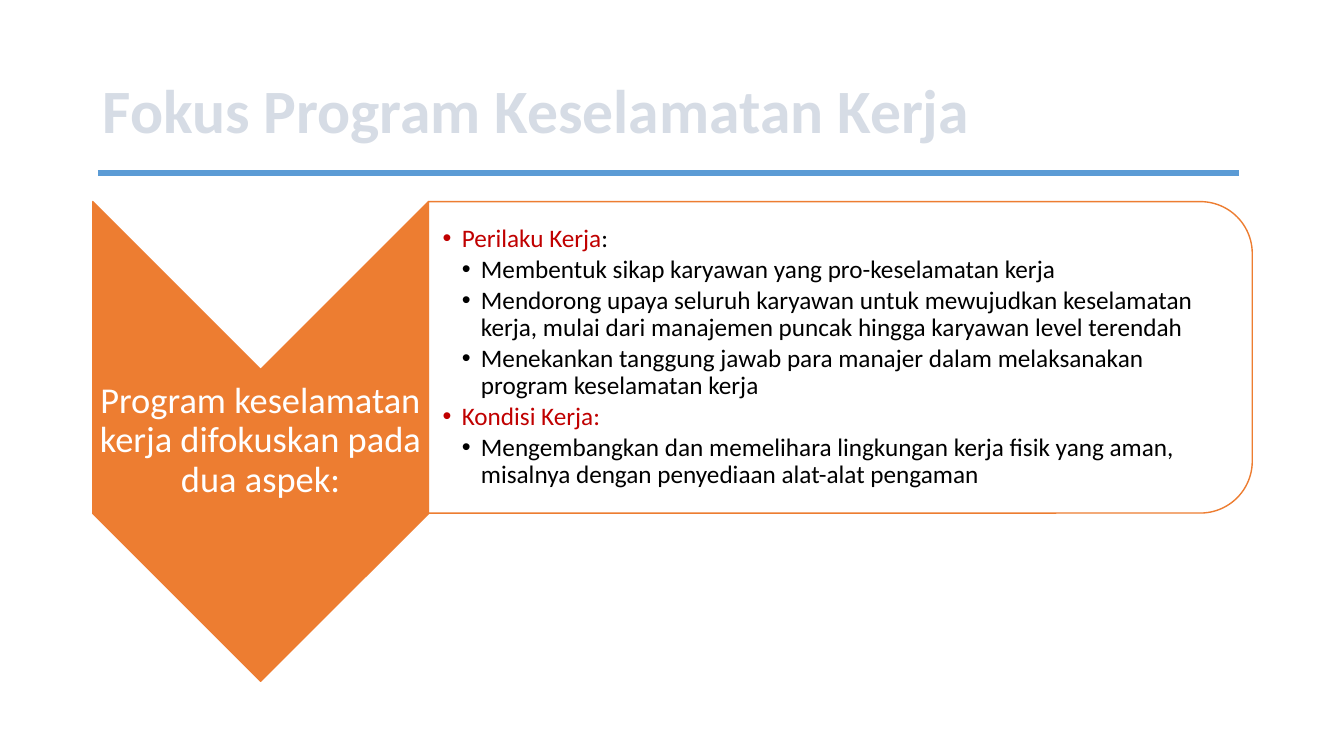
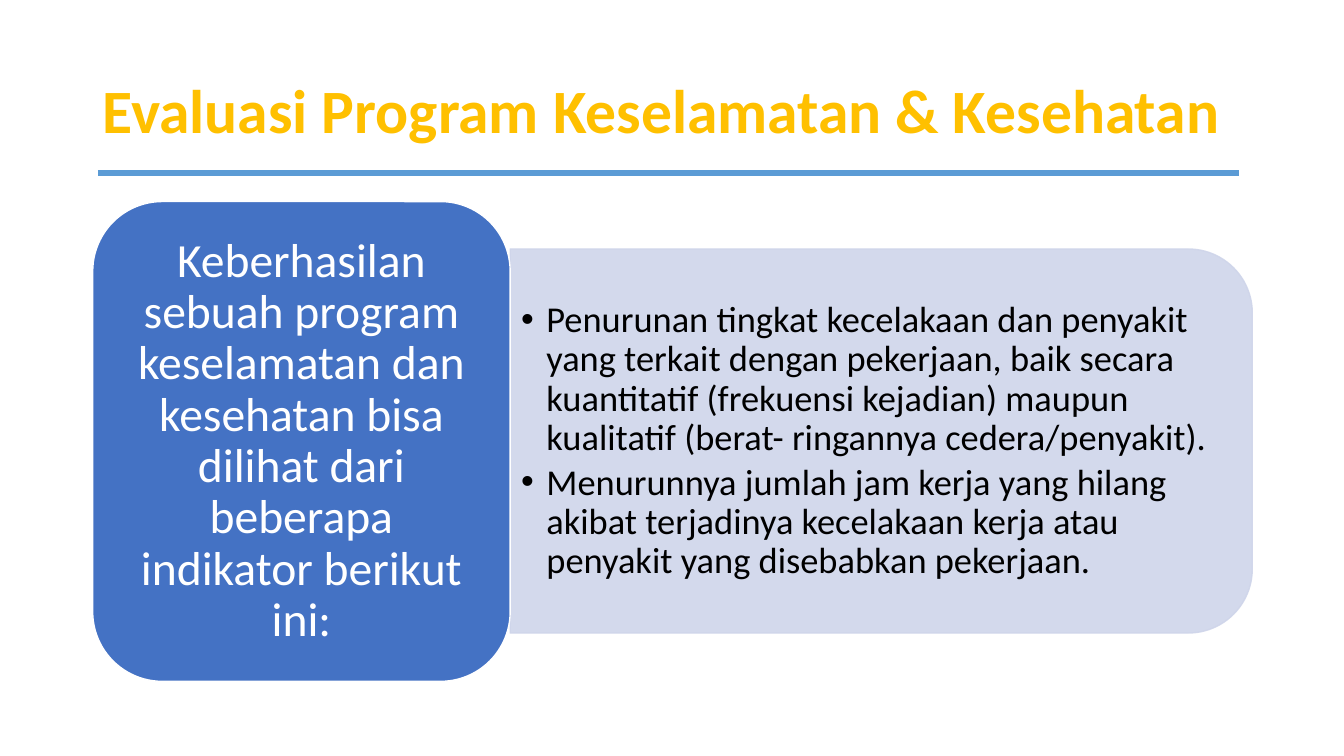
from dataclasses import dataclass

from lxml.etree import SubElement as Sub
from pptx import Presentation as Deck
from pptx.dml.color import RGBColor as Rgb
from pptx.enum.shapes import MSO_CONNECTOR as Conn, MSO_SHAPE as Kind
from pptx.enum.text import MSO_ANCHOR as Anchor, PP_ALIGN as Align
from pptx.oxml.ns import qn
from pptx.util import Inches as In, Pt


@dataclass(frozen=True)
class Theme:
    font: str = "Calibri"
    white: str = "FFFFFF"
    black: str = "000000"
    red: str = "C00000"
    orange: str = "ED7D31"
    blue: str = "4472C4"
    pale: str = "CFD5EA"
    rule: str = "5B9BD5"
    mist: str = "D6DCE5"
    gold: str = "FFC000"
    head: int = 44
    large: int = 34
    mid: int = 26
    small: int = 18


T = Theme()


# Text
def add_run(para, text, size, color, bold=False):
    run = para.add_run()
    run.text = text
    font = run.font
    font.name, font.size, font.bold = T.font, Pt(size), bold
    font.color.rgb = Rgb.from_string(color)


def set_frame(shape, pad):
    frame = shape.text_frame
    frame.word_wrap = True
    frame.vertical_anchor = Anchor.MIDDLE
    frame.margin_left, frame.margin_top, frame.margin_right, frame.margin_bottom = map(In, pad)
    return frame


def add_box(slide, box, pad):
    return set_frame(slide.shapes.add_textbox(*map(In, box)), pad)


def set_label(frame, text, size):
    para = frame.paragraphs[0]
    para.alignment, para.line_spacing = Align.CENTER, 0.9
    add_run(para, text, size, T.white)


def add_list(slide, box, pad, items, size, step):
    """Each item is a level and its runs, given as (text, color)."""
    frame = add_box(slide, box, pad)
    for i, (level, runs) in enumerate(items):
        para = frame.add_paragraph() if i else frame.paragraphs[0]
        para.level, para.line_spacing = level, 0.9
        para.space_after = Pt(size * 0.15)
        props = para._p.get_or_add_pPr()
        props.set("marL", str(In(step * level)))
        props.set("indent", str(-In(step)))
        Sub(props, qn("a:buFont")).set("typeface", "Arial")
        Sub(props, qn("a:buChar")).set("char", "•")
        for text, color in runs:
            add_run(para, text, size, color)


# Shapes
def fade(fill):
    for tone in fill.iter(qn("a:srgbClr")):
        Sub(tone, qn("a:alpha")).set("val", "90000")


def add_form(slide, kind, box, fill, line):
    shape = slide.shapes.add_shape(kind, *map(In, box))
    shape.shadow.inherit = False
    shape.fill.solid()
    shape.fill.fore_color.rgb = Rgb.from_string(fill)
    shape.line.color.rgb = Rgb.from_string(line)
    shape.line.width = Pt(1)
    return shape


def add_turned(slide, kind, box, fill, line):
    """Place a shape turned a quarter so that it covers the given box."""
    x, y, w, h = box
    shift = (w - h) / 2
    shape = add_form(slide, kind, (x + shift, y - shift, h, w), fill, line)
    shape.rotation = 90
    return shape


def add_panel(slide, box, fill, line):
    shape = add_turned(slide, Kind.ROUND_2_SAME_RECTANGLE, box, fill, line)
    fade(shape._element.spPr.find(qn("a:solidFill")))
    return shape


# Shared slide frame: title and rule
def add_page(deck, title, color):
    slide = deck.slides.add_slide(deck.slide_layouts[6])
    para = add_box(slide, (0.92, 0.4, 11.5, 1.45), (0.1, 0.05, 0.1, 0.05)).paragraphs[0]
    para.line_spacing = 0.9
    add_run(para, title, T.head, color, True)
    rule = slide.shapes.add_connector(Conn.STRAIGHT, In(0.97), In(1.72), In(12.29), In(1.72))
    rule.line.color.rgb = Rgb.from_string(T.rule)
    rule.line.width = Pt(4.5)
    Sub(rule._element.spPr, qn("a:effectLst"))
    return slide


# Slides
def add_focus(deck):
    slide = add_page(deck, "Fokus Program Keselamatan Kerja", T.mist)
    add_turned(slide, Kind.CHEVRON, (0.92, 2, 3.33, 4.76), T.orange, T.orange)
    label = add_box(slide, (0.92, 3.66, 3.33, 1.43), (0.02,) * 4)
    set_label(label, "Program keselamatan kerja difokuskan pada dua aspek:", T.mid)
    add_panel(slide, (4.25, 2, 8.17, 3.09), T.white, T.orange)
    items = [
        (1, [("Perilaku Kerja", T.red), (":", T.black)]),
        (2, [("Membentuk sikap karyawan yang pro-keselamatan kerja", T.black)]),
        (2, [("Mendorong upaya seluruh karyawan untuk mewujudkan keselamatan kerja, "
              "mulai dari manajemen puncak hingga karyawan level terendah", T.black)]),
        (2, [("Menekankan tanggung jawab para manajer dalam melaksanakan "
              "program keselamatan kerja", T.black)]),
        (1, [("Kondisi Kerja:", T.red)]),
        (2, [("Mengembangkan dan memelihara lingkungan kerja fisik yang aman, "
              "misalnya dengan penyediaan alat-alat pengaman", T.black)]),
    ]
    add_list(slide, (4.25, 2.15, 8.02, 2.79), (0.14, 0.01, 0.01, 0.01), items, T.small, 0.19)


def add_review(deck):
    slide = add_page(deck, "Evaluasi Program Keselamatan & Kesehatan", T.gold)
    panel = add_panel(slide, (5.06, 2.47, 7.36, 3.81), T.pale, T.pale)
    fade(panel.line._get_or_add_ln())
    items = [
        (1, [("Penurunan tingkat kecelakaan dan penyakit yang terkait dengan pekerjaan, "
              "baik secara kuantitatif (frekuensi kejadian) maupun kualitatif "
              "(berat- ringannya cedera/penyakit).", T.black)]),
        (1, [("Menurunnya jumlah jam kerja yang hilang akibat terjadinya kecelakaan kerja "
              "atau penyakit yang disebabkan pekerjaan.", T.black)]),
    ]
    add_list(slide, (5.06, 2.66, 7.17, 3.44), (0.11, 0.05, 0.11, 0.05), items, T.mid, 0.25)
    card = add_form(slide, Kind.ROUNDED_RECTANGLE, (0.92, 2, 4.14, 4.76), T.blue, T.white)
    set_label(set_frame(card, (0.14, 0.07, 0.14, 0.07)),
              "Keberhasilan sebuah program keselamatan dan kesehatan bisa dilihat "
              "dari beberapa indikator berikut ini:", T.large)


def main():
    deck = Deck()
    deck.slide_width, deck.slide_height = In(13.33), In(7.5)
    add_focus(deck)
    add_review(deck)
    deck.save("out.pptx")


if __name__ == "__main__":
    main()
